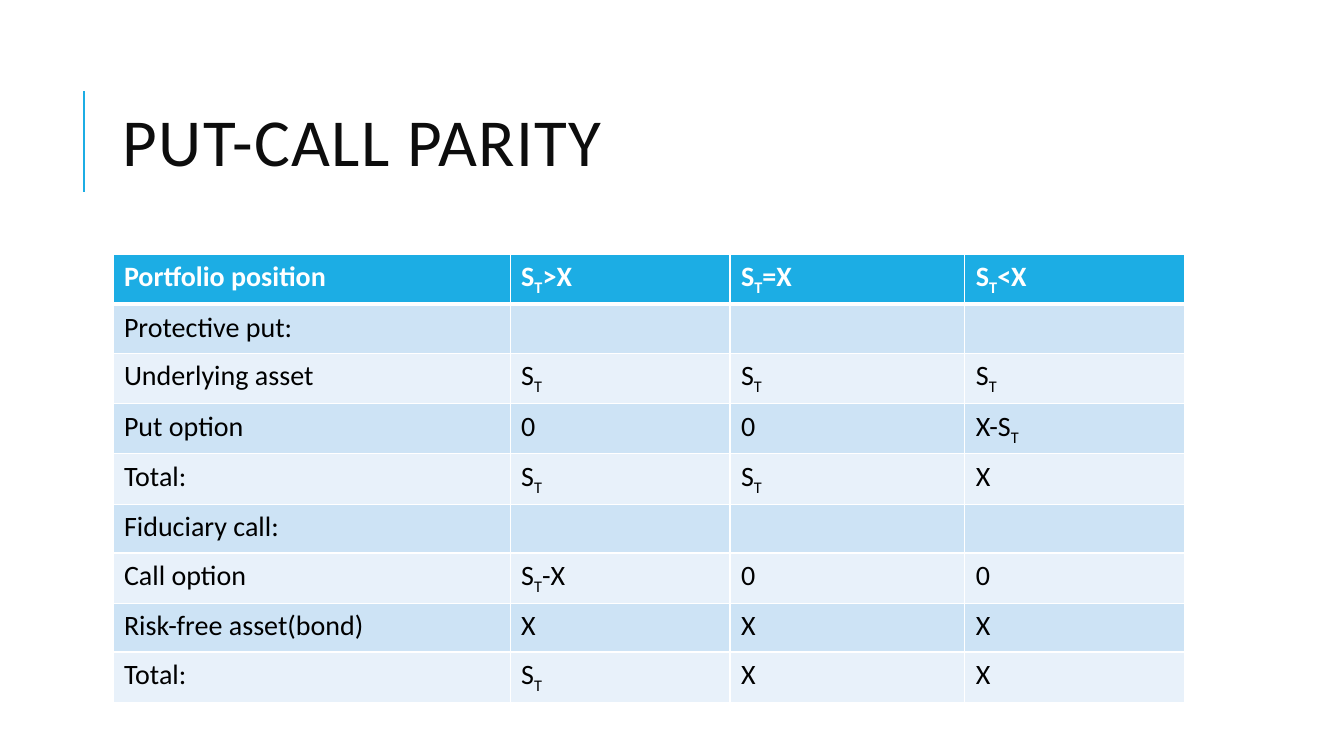
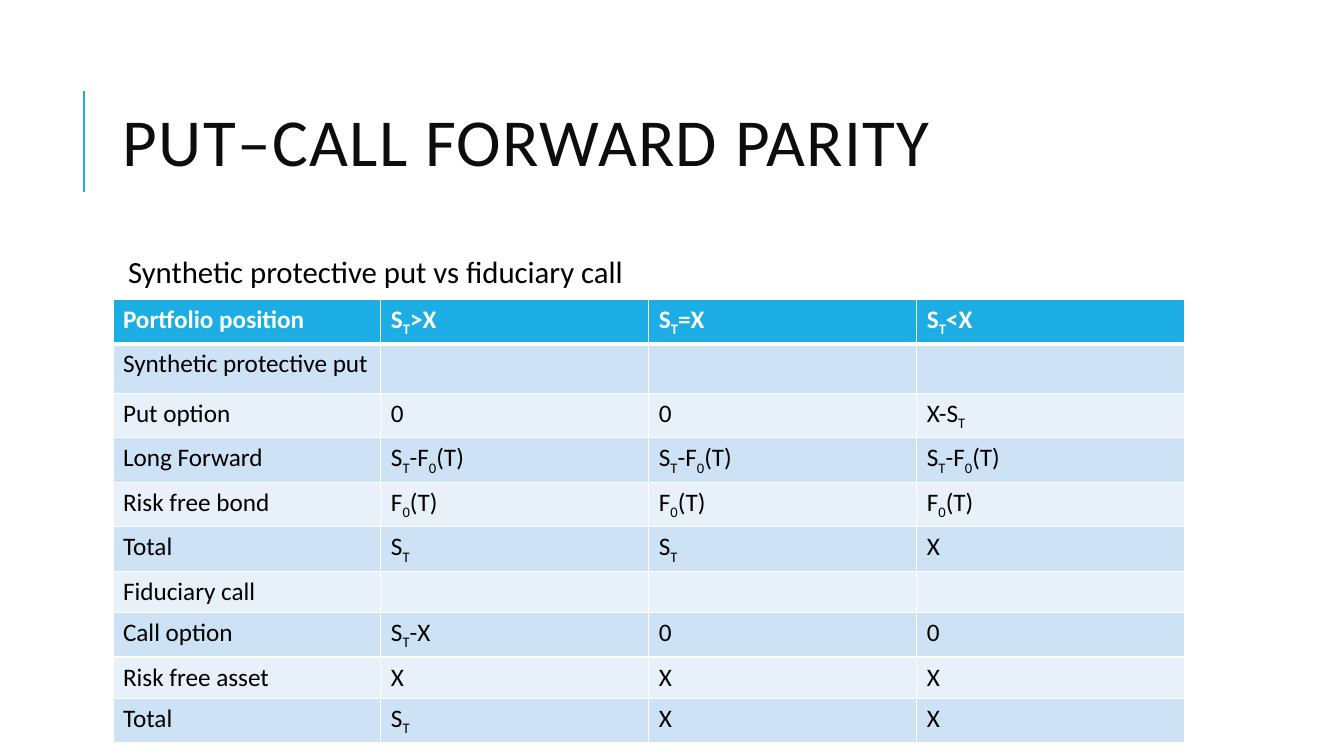
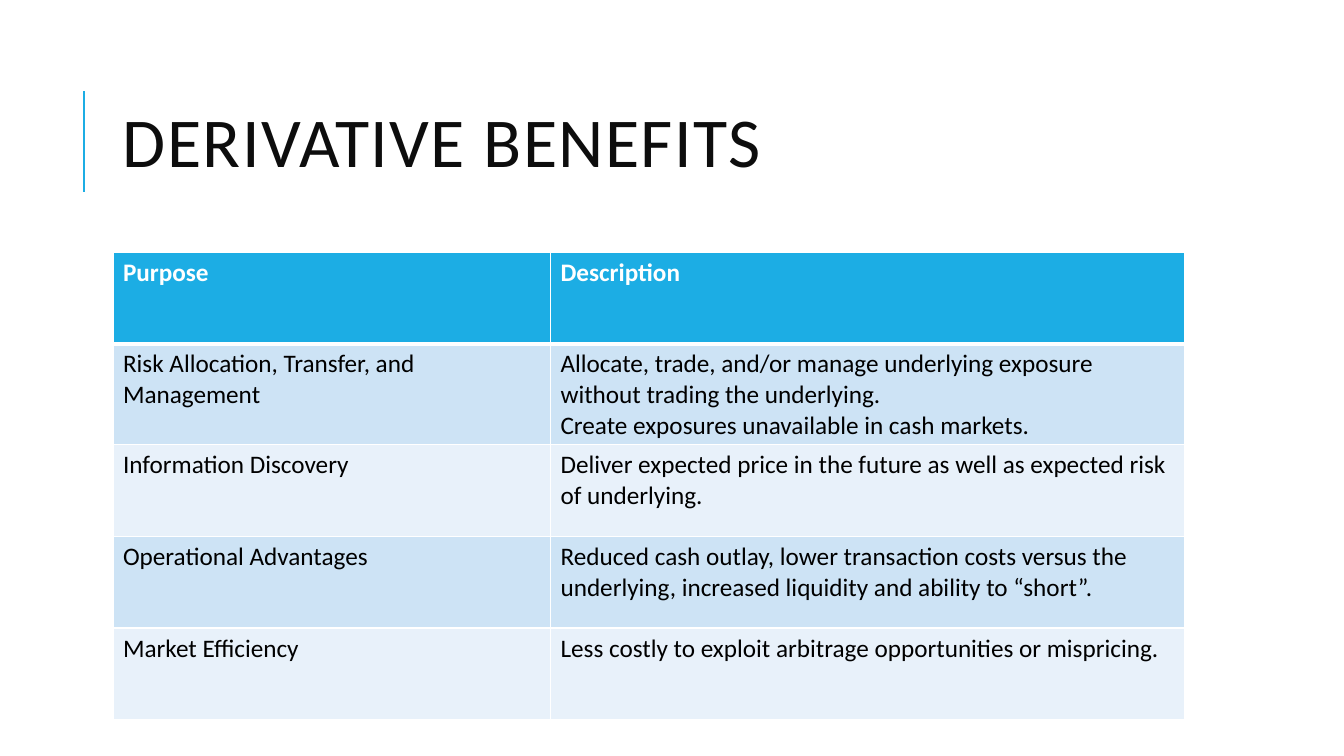
from lxml import etree
from pptx import Presentation
from pptx import util as u
from pptx.dml.color import RGBColor
from pptx.enum import shapes, text
from pptx.oxml.ns import qn

FONT = "Calibri"
ACCENT, TITLE_INK, INK, WHITE = "1CADE4", "0D0D0D", "000000", "FFFFFF"
BANDS = ("CDE3F5", "E8F1FA")
LEFT, WIDTH = 1.12, 10.63
PRICE_CASES = ["S_T>X", "S_T=X", "S_T<X"]

PARITY_ROWS = [
    ["Portfolio position", *PRICE_CASES],
    ["Protective put:", "", "", ""],
    ["Underlying asset", "S_T", "S_T", "S_T"],
    ["Put option", "0", "0", "X-S_T"],
    ["Total:", "S_T", "S_T", "X"],
    ["Fiduciary call:", "", "", ""],
    ["Call option", "S_T-X", "0", "0"],
    ["Risk-free asset(bond)", "X", "X", "X"],
    ["Total:", "S_T", "X", "X"],
]
FORWARD_ROWS = [
    ["Portfolio position", *PRICE_CASES],
    ["Synthetic protective put", "", "", ""],
    ["Put option", "0", "0", "X-S_T"],
    ["Long Forward"] + ["S_T-F_0(T)"] * 3,
    ["Risk free bond"] + ["F_0(T)"] * 3,
    ["Total", "S_T", "S_T", "X"],
    ["Fiduciary call", "", "", ""],
    ["Call option", "S_T-X", "0", "0"],
    ["Risk free asset", "X", "X", "X"],
    ["Total", "S_T", "X", "X"],
]
BENEFIT_ROWS = [
    ["Purpose", "Description"],
    ["Risk Allocation, Transfer, and Management",
     "Allocate, trade, and/or manage underlying exposure without trading the underlying.\n"
     "Create exposures unavailable in cash markets."],
    ["Information Discovery",
     "Deliver expected price in the future as well as expected risk of underlying."],
    ["Operational Advantages",
     "Reduced cash outlay, lower transaction costs versus the underlying, "
     "increased liquidity and ability to “short”."],
    ["Market Efficiency",
     "Less costly to exploit arbitrage opportunities or mispricing."],
]


def color(value):
    return RGBColor.from_string(value)


def add_run(paragraph, content, size, ink, bold=False):
    run = paragraph.add_run()
    run.text = content
    run.font.name = FONT
    run.font.size = u.Pt(size)
    run.font.bold = bold
    run.font.color.rgb = color(ink)
    return run


def add_marked_text(paragraph, content, size, ink, bold):
    """Write content, lowering the one character after each underscore."""
    first, *rest = content.split("_")
    pieces = [(first, False)]
    for part in rest:
        pieces += [(part[0], True), (part[1:], False)]
    for piece, lowered in pieces:
        if piece:
            run = add_run(paragraph, piece, size, ink, bold)
            if lowered:
                run.font._element.set("baseline", "-25000")


def add_text_box(slide, top, height, content, size, ink, spacing, inset=0.1):
    shape = slide.shapes.add_textbox(
        u.Inches(LEFT), u.Inches(top), u.Inches(WIDTH), u.Inches(height))
    frame = shape.text_frame
    frame.word_wrap = True
    frame.margin_left = u.Inches(inset)
    paragraph = frame.paragraphs[0]
    paragraph.line_spacing = spacing
    return frame, add_run(paragraph, content, size, ink)


def add_titled_slide(presentation, title, size=48):
    slide = presentation.slides.add_slide(presentation.slide_layouts[6])
    rule = slide.shapes.add_connector(
        shapes.MSO_CONNECTOR.STRAIGHT,
        u.Inches(0.83), u.Inches(1.9), u.Inches(0.83), u.Inches(0.9))
    rule.line.color.rgb = color(ACCENT)
    rule.line.width = u.Pt(1.5)
    etree.SubElement(rule._element.spPr, qn("a:effectLst"))
    frame, run = add_text_box(slide, 0.64, 1.64, title, size, TITLE_INK, 0.8)
    frame.vertical_anchor = text.MSO_ANCHOR.MIDDLE
    run.font._element.set("spc", "100")
    return slide


def set_borders(cell, top, bottom):
    properties = cell._tc.get_or_add_tcPr()
    for side, points in (("L", 1), ("R", 1), ("T", top), ("B", bottom)):
        line = etree.SubElement(properties, qn(f"a:ln{side}"), w=str(u.Pt(points)))
        fill = etree.SubElement(line, qn("a:solidFill"))
        etree.SubElement(fill, qn("a:srgbClr"), val=WHITE)


def fill_cell(cell, row, content, size, insets):
    header = row == 0
    set_borders(cell, top=3 if row == 1 else 1, bottom=3 if header else 1)
    cell.fill.solid()
    cell.fill.fore_color.rgb = color(ACCENT if header else BANDS[(row - 1) % 2])
    cell.margin_left = cell.margin_right = u.Inches(insets[0])
    cell.margin_top = cell.margin_bottom = u.Inches(insets[1])
    frame = cell.text_frame
    for index, line in enumerate(content.split("\n")):
        paragraph = frame.add_paragraph() if index else frame.paragraphs[0]
        add_marked_text(paragraph, line, size, WHITE if header else INK, header)


def add_banded_table(slide, top, rows, widths, heights, size=18, insets=(0.1, 0.05)):
    table = slide.shapes.add_table(
        len(rows), len(widths), u.Inches(LEFT), u.Inches(top),
        u.Inches(WIDTH), u.Inches(sum(heights))).table
    for column, width in zip(table.columns, widths):
        column.width = u.Inches(width)
    for row, (contents, height) in enumerate(zip(rows, heights)):
        table.rows[row].height = u.Inches(height)
        for column, content in enumerate(contents):
            fill_cell(table.cell(row, column), row, content, size, insets)


def main():
    presentation = Presentation()
    presentation.slide_width = u.Inches(13.33)
    presentation.slide_height = u.Inches(7.5)

    slide = add_titled_slide(presentation, "PUT-CALL PARITY")
    add_banded_table(slide, 2.52, PARITY_ROWS, [3.94, 2.18, 2.33, 2.18],
                     [4.36 / 9] * 9, size=20, insets=(0.11, 0.06))

    slide = add_titled_slide(presentation, "PUT–CALL FORWARD PARITY")
    add_text_box(slide, 2.5, 0.47, "Synthetic protective put vs fiduciary call",
                 22, INK, 0.9, inset=0.15)
    add_banded_table(slide, 2.97, FORWARD_ROWS, [WIDTH / 4] * 4,
                     [0.41, 0.49] + [0.41] * 8)

    slide = add_titled_slide(presentation, "DERIVATIVE BENEFITS", size=50)
    add_banded_table(slide, 2.5, BENEFIT_ROWS, [4.34, 6.29],
                     [0.91, 0.98] + [0.91] * 3)

    presentation.save("out.pptx")


if __name__ == "__main__":
    main()
